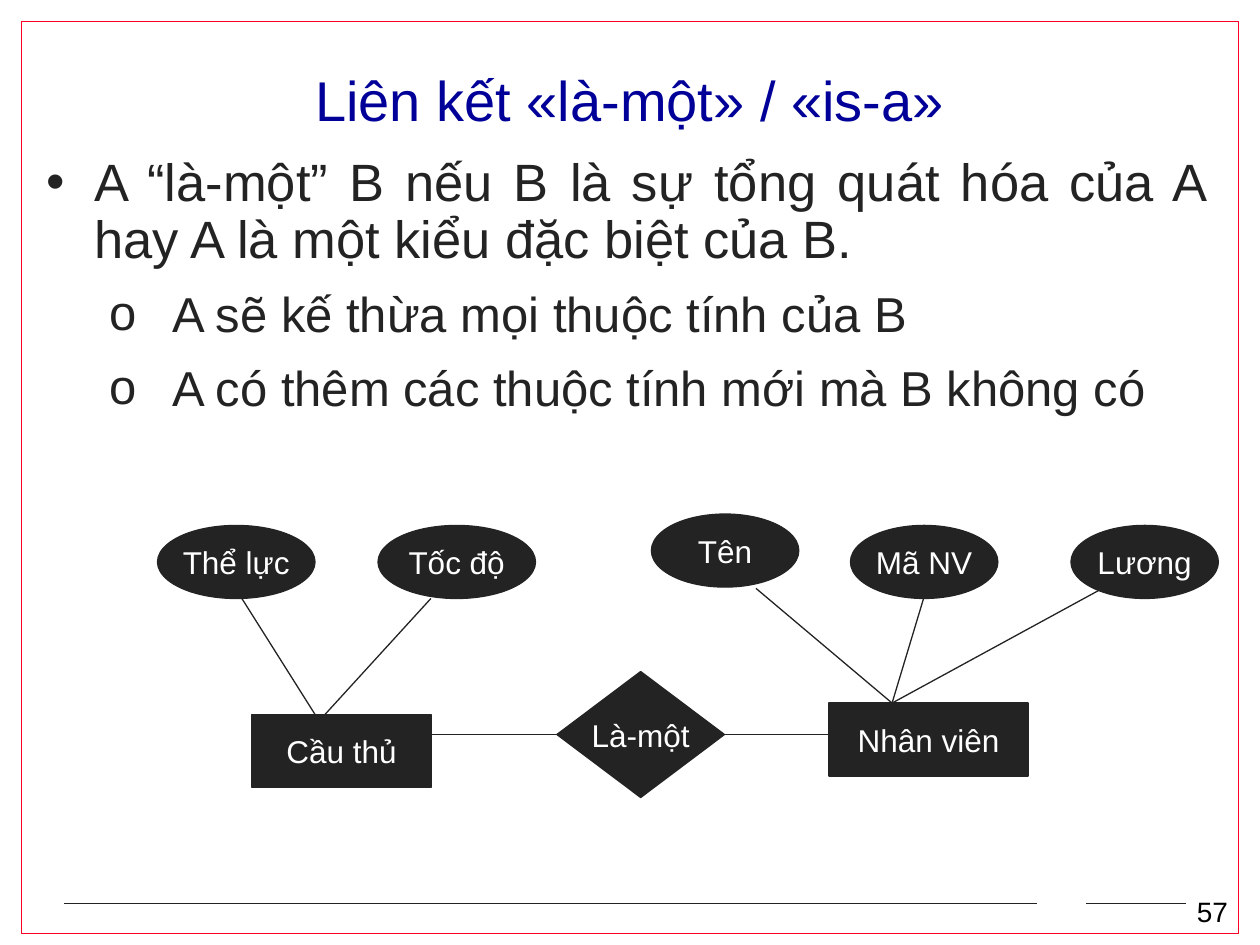
from lxml import etree
from pptx import Presentation
from pptx.dml.color import RGBColor
from pptx.enum import shapes, text
from pptx.oxml import ns
from pptx.util import Inches, Pt

DARK, WHITE, RED, NAVY, BLACK = "232323", "FFFFFF", "FC0128", "000099", "000000"
KIND = shapes.MSO_SHAPE
ALIGN = text.PP_ALIGN

TITLE = "Liên kết «là-một» / «is-a»"
PAGE = "57"
BULLETS = [
    (0, "A “là-một” B nếu B là sự tổng quát hóa của A hay A là một kiểu đặc biệt của B."),
    (1, "A sẽ kế thừa mọi thuộc tính của B"),
    (1, "A có thêm các thuộc tính mới mà B không có"),
]
LEVELS = [("•", 30, 0.38, 0.38), ("o", 28, 1, 0.5)]

NODE_H = 0.58
ENTITIES = [("Nhân viên", 6.58, 5.58, 1.58), ("Cầu thủ", 2, 5.67, 1.42)]
ATTRIBUTES = [
    ("Tên", 5.17, 4.08, 1.17),
    ("Mã NV", 6.75, 4.17, 1.17),
    ("Thể lực", 1.25, 4.17, 1.25),
    ("Tốc độ", 3, 4.17, 1.25),
    ("Lương", 8.5, 4.17, 1.17),
]
RELATION = ("Là-một", 4.42, 5.33, 1.33, 1)
STAFF_TOP = (7.08, 5.58)
LINKS = [
    ((4.42, 5.83), (3.42, 5.83)),
    ((5.75, 5.83), (6.58, 5.83)),
    ((1.92, 4.75), (2.5, 5.67)),
    ((3.42, 4.75), (2.58, 5.67)),
    ((6, 4.67), STAFF_TOP),
    ((7.33, 4.75), STAFF_TOP),
    ((8.75, 4.67), STAFF_TOP),
]
FOOTER_Y = 7.17
FOOTER_LINES = [(1.85, 8.23), (8.62, 9.41)]


def rgb(value):
    return RGBColor.from_string(value)


def add_run(p, words, size, color):
    r = p.add_run()
    r.text = words
    r.font.name = "Arial"
    r.font.size = Pt(size)
    r.font.color.rgb = rgb(color)


def add_text(s, box, wrap=True):
    tf = s.shapes.add_textbox(*map(Inches, box)).text_frame
    tf.word_wrap = wrap
    return tf


def add_line(s, start, end, width):
    line = s.shapes.add_connector(shapes.MSO_CONNECTOR.STRAIGHT, *map(Inches, start + end))
    line.line.color.rgb = rgb(DARK)
    line.line.width = Pt(width)
    etree.SubElement(line._element.spPr, ns.qn("a:effectLst"))


def add_box(s, kind, box, fill, border, width):
    sp = s.shapes.add_shape(kind, *map(Inches, box))
    sp.shadow.inherit = False
    if fill:
        sp.fill.solid()
        sp.fill.fore_color.rgb = rgb(fill)
    else:
        sp.fill.background()
    sp.line.color.rgb = rgb(border)
    sp.line.width = Pt(width)
    return sp


def add_node(s, kind, label, x, y, w, h=NODE_H):
    tf = add_box(s, kind, (x, y, w, h), DARK, DARK, 0.75).text_frame
    tf.word_wrap = False
    tf.vertical_anchor = text.MSO_ANCHOR.MIDDLE
    p = tf.paragraphs[0]
    p.alignment = ALIGN.CENTER
    add_run(p, label, 18, WHITE)


def add_bullet(p, level, words):
    mark, size, margin, hang = LEVELS[level]
    p.level = level
    p.alignment = ALIGN.JUSTIFY
    p.line_spacing = 0.9
    p.space_before = Pt(12)
    pPr = p._p.get_or_add_pPr()
    pPr.set("marL", str(Inches(margin)))
    pPr.set("indent", str(-Inches(hang)))
    color = etree.SubElement(pPr, ns.qn("a:buClr"))
    etree.SubElement(color, ns.qn("a:srgbClr"), val=DARK)
    etree.SubElement(pPr, ns.qn("a:buFont"), typeface="Arial")
    etree.SubElement(pPr, ns.qn("a:buChar"), char=mark)
    add_run(p, words, size, DARK)


def add_frame(s):
    add_line(s, (0.51, FOOTER_Y), (1.92, FOOTER_Y), 1)
    add_box(s, KIND.RECTANGLE, (0.17, 0.17, 9.66, 7.24), None, RED, 1)
    tf = add_text(s, (9.4, 7.05, 0.46, 0.36), wrap=False)
    add_run(tf.paragraphs[0], PAGE, 16, BLACK)
    add_box(s, KIND.RECTANGLE, (8.2, 7.01, 0.44, 0.33), WHITE, WHITE, 2.25)
    for left, right in FOOTER_LINES:
        add_line(s, (left, FOOTER_Y), (right, FOOTER_Y), 1)


def add_diagram(s):
    for entity in ENTITIES:
        add_node(s, KIND.RECTANGLE, *entity)
    for attribute in ATTRIBUTES:
        add_node(s, KIND.OVAL, *attribute)
    add_node(s, KIND.DIAMOND, *RELATION)
    for start, end in LINKS:
        add_line(s, start, end, 0.75)


def main():
    prs = Presentation()
    prs.slide_width, prs.slide_height = Inches(10), Inches(7.5)
    s = prs.slides.add_slide(prs.slide_layouts[6])
    add_frame(s)

    tf = add_text(s, (0.75, 0.5, 8.5, 0.58))
    tf.vertical_anchor = text.MSO_ANCHOR.MIDDLE
    p = tf.paragraphs[0]
    p.alignment = ALIGN.CENTER
    add_run(p, TITLE, 32, NAVY)

    add_diagram(s)

    tf = add_text(s, (0.27, 1.19, 9.4, 2.65))
    for i, (level, words) in enumerate(BULLETS):
        p = tf.add_paragraph() if i else tf.paragraphs[0]
        add_bullet(p, level, words)
    prs.save("out.pptx")


if __name__ == "__main__":
    main()
